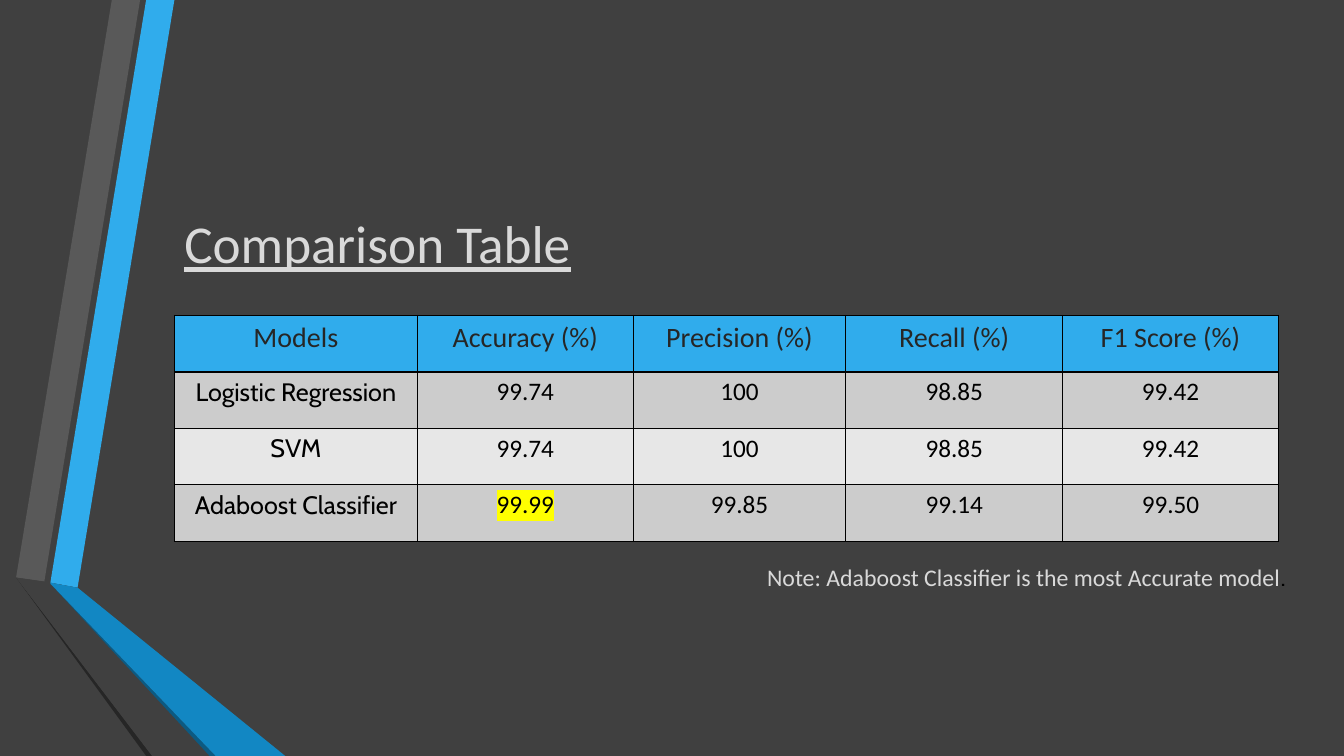
from lxml.etree import SubElement
from pptx import Presentation
from pptx.dml.color import RGBColor
from pptx.enum.text import MSO_ANCHOR as Anchor, PP_ALIGN as Align
from pptx.oxml import parse_xml
from pptx.oxml.ns import nsdecls, qn
from pptx.util import Inches, Pt

CHARCOAL = RGBColor(0x40, 0x40, 0x40)
INK = RGBColor(0x26, 0x26, 0x26)
GREY = RGBColor(0x59, 0x59, 0x59)
PALE = RGBColor(0xD9, 0xD9, 0xD9)
BLACK = RGBColor(0, 0, 0)
BLUE = RGBColor(0x30, 0xAC, 0xEC)
MID_BLUE = RGBColor(0x12, 0x87, 0xC3)
DEEP_BLUE = RGBColor(0x0C, 0x5A, 0x82)
BANDS = [RGBColor(0xCC, 0xCC, 0xCC), RGBColor(0xE7, 0xE7, 0xE7)]
YELLOW = RGBColor(0xFF, 0xFF, 0x00)

RIBBONS = [
    (BLUE, [(0.5, 5.78), (0.77, 5.83), (1.73, 0), (1.45, 0)]),
    (GREY, [(1.39, 0), (1.11, 0), (0.16, 5.73), (0.44, 5.77)]),
    (INK, [(0.16, 5.73), (1.45, 7.5), (1.51, 7.5)]),
    (DEEP_BLUE, [(0.5, 5.79), (2.08, 7.5), (2.14, 7.5)]),
    (MID_BLUE, [(0.5, 5.78), (0.5, 5.79), (2.14, 7.5), (2.83, 7.5), (0.77, 5.83)]),
    (CHARCOAL, [(2.02, 7.5), (0.48, 5.83), (0.43, 5.78), (0.44, 5.77),
                (0.16, 5.73), (1.51, 7.5)]),
]
HEADINGS = ["Models", "Accuracy (%)", "Precision (%)", "Recall (%)", "F1 Score (%)"]
RESULTS = [
    ["Logistic Regression", "99.74", "100", "98.85", "99.42"],
    ["SVM", "99.74", "100", "98.85", "99.42"],
    ["Adaboost Classifier", "99.99", "99.85", "99.14", "99.50"],
]
BEST = "99.99"
COLUMN_WIDTHS = [2.41, 2.14, 2.11, 2.15, 2.14]
ROW_HEIGHT = 0.56


def add_span(para, text, size=18, font="Calibri", color=BLACK, underline=None,
             highlight=None):
    """Append a formatted run to a paragraph."""
    span = para.add_run()
    span.text = text
    span.font.size = Pt(size)
    span.font.name = font
    span.font.color.rgb = color
    span.font.underline = underline
    if highlight is not None:
        mark = parse_xml(f'<a:highlight {nsdecls("a")}>'
                         f'<a:srgbClr val="{highlight}"/></a:highlight>')
        span.font.fill._xPr.find(qn("a:solidFill")).addnext(mark)


class SlideBuilder:
    """Draws styled elements on the current page."""

    def __init__(self, page):
        self.page = page
        self.page.background.fill.solid()
        self.page.background.fill.fore_color.rgb = CHARCOAL

    def ribbon(self, color, points):
        corners = [(Inches(x), Inches(y)) for x, y in points]
        builder = self.page.shapes.build_freeform(*corners[0], scale=1.0)
        builder.add_line_segments(corners[1:], close=True)
        shape = builder.convert_to_shape()
        shape.shadow.inherit = False
        shape.fill.solid()
        shape.fill.fore_color.rgb = color
        shape.line.fill.background()

    def text(self, left, top, width, height, spans, align=Align.LEFT,
             anchor=Anchor.TOP):
        box = self.page.shapes.add_textbox(
            Inches(left), Inches(top), Inches(width), Inches(height))
        frame = box.text_frame
        frame.word_wrap = True
        frame.vertical_anchor = anchor
        para = frame.paragraphs[0]
        para.alignment = align
        for text, style in spans:
            add_span(para, text, **style)

    def cell(self, cell, text, fill, **style):
        properties = cell._tc.get_or_add_tcPr()
        for side in ("lnL", "lnR", "lnT", "lnB"):
            line = SubElement(properties, qn(f"a:{side}"), w=str(Pt(1)))
            paint = SubElement(line, qn("a:solidFill"))
            SubElement(paint, qn("a:srgbClr"), val=str(BLACK))
        cell.fill.solid()
        cell.fill.fore_color.rgb = fill
        para = cell.text_frame.paragraphs[0]
        para.alignment = Align.CENTER
        add_span(para, text, **style)

    def table(self, left, top):
        rows = [HEADINGS] + RESULTS
        table = self.page.shapes.add_table(
            len(rows), len(HEADINGS), Inches(left), Inches(top),
            Inches(sum(COLUMN_WIDTHS)), Inches(ROW_HEIGHT * len(rows))).table
        table.first_row = False
        table.horz_banding = False
        for column, width in zip(table.columns, COLUMN_WIDTHS):
            column.width = Inches(width)
        for i, row in enumerate(rows):
            table.rows[i].height = Inches(ROW_HEIGHT)
            for j, value in enumerate(row):
                cell = table.cell(i, j)
                if i == 0:
                    self.cell(cell, value, BLUE, size=20, color=INK)
                else:
                    self.cell(cell, value, BANDS[(i - 1) % 2],
                              font="Calibri" if j else "Cabin",
                              highlight=YELLOW if value == BEST else None)


def main():
    deck = Presentation()
    deck.slide_width, deck.slide_height = Inches(13.33), Inches(7.5)
    slide = SlideBuilder(deck.slides.add_slide(deck.slide_layouts[6]))
    for color, points in RIBBONS:
        slide.ribbon(color, points)
    slide.text(1.73, 1.94, 10.96, 0.93,
               [("Comparison Table", dict(size=38, color=PALE, underline=True))],
               anchor=Anchor.MIDDLE)
    slide.table(1.73, 3.13)
    slide.text(2.36, 5.52, 10.49, 0.4,
               [("Note: Adaboost Classifier is the most Accurate model",
                 dict(size=17, color=PALE)),
                (".", dict(font="Cabin"))],
               align=Align.RIGHT)
    deck.save("out.pptx")


if __name__ == "__main__":
    main()
